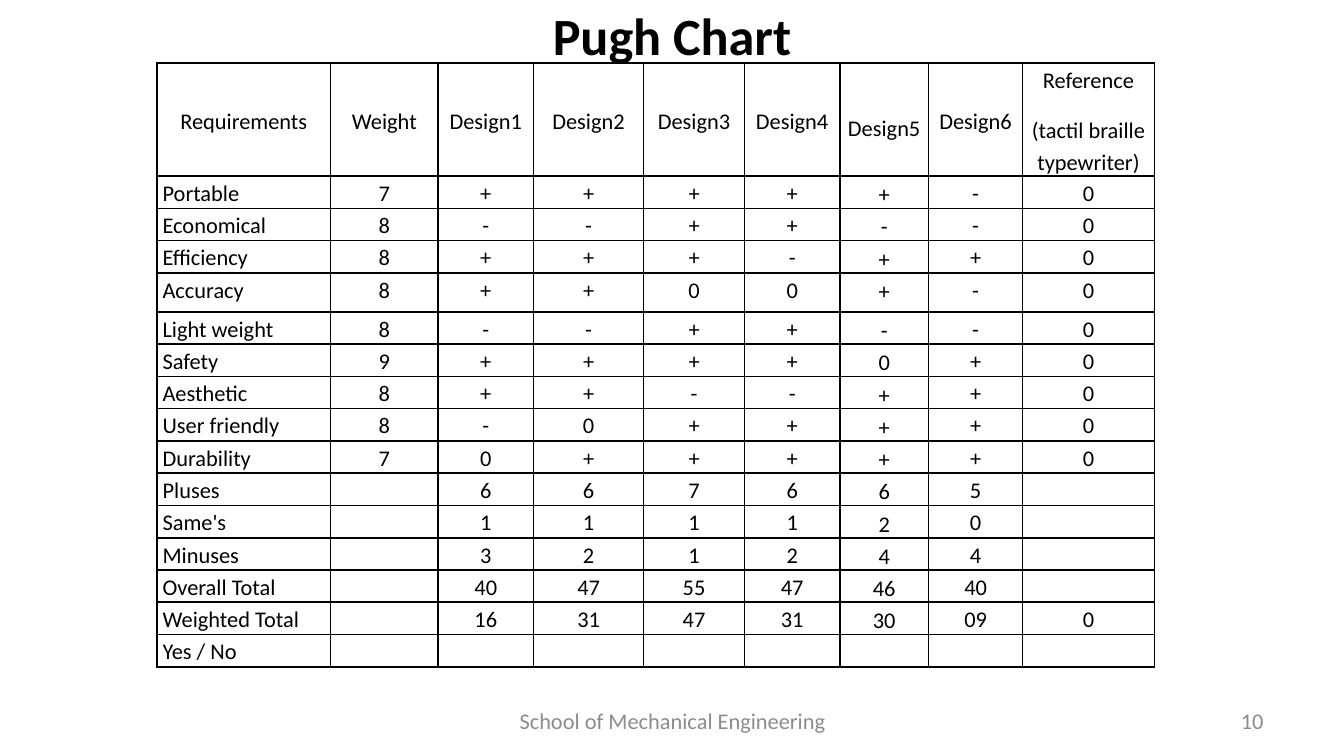
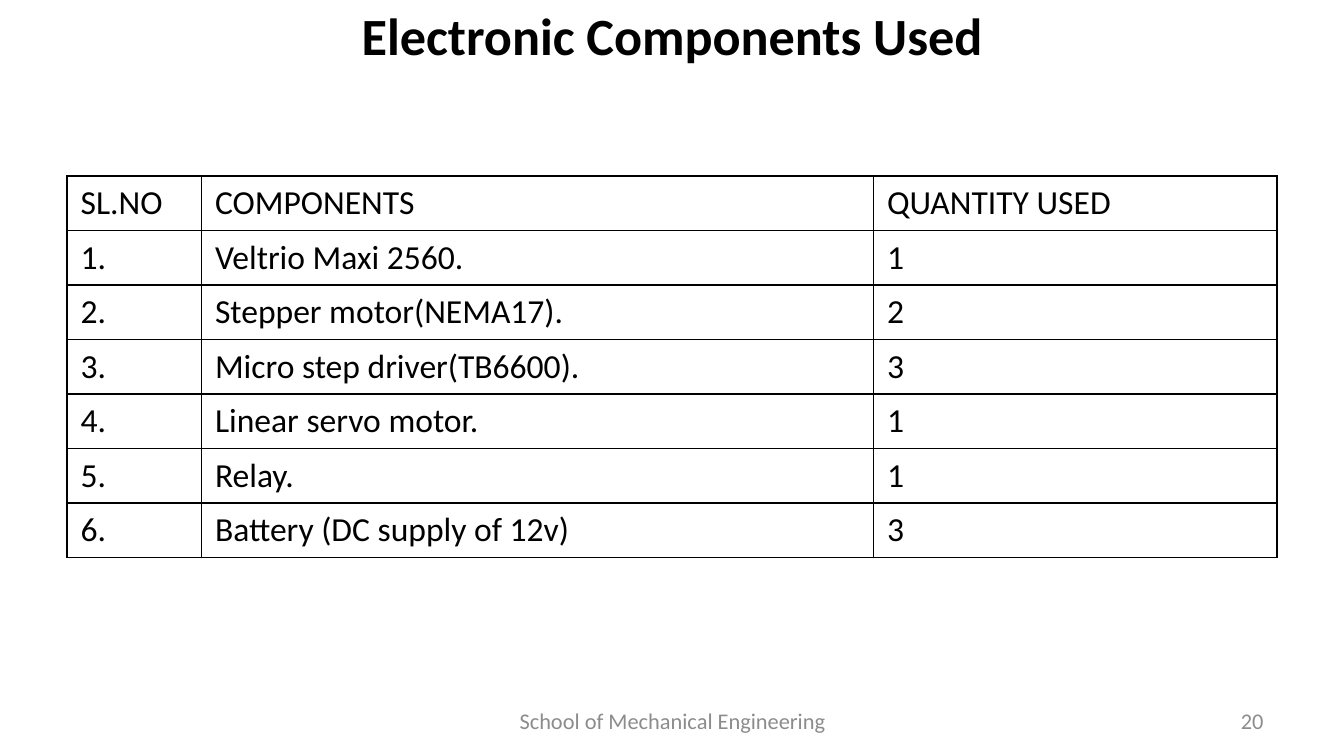
from dataclasses import dataclass
from lxml.etree import SubElement
from pptx import Presentation
from pptx.dml.color import RGBColor
from pptx.enum.text import MSO_ANCHOR, PP_ALIGN
from pptx.oxml.ns import qn
from pptx.util import Inches, Pt


@dataclass(frozen=True)
class Theme:
    font: str = "Calibri"
    ink: str = "000000"
    muted: str = "8C8C8C"
    title_size: int = 28
    body_size: int = 18
    small_size: int = 12
    border: int = 1


theme = Theme()

# Content
requirements = ["Portable", "Economical", "Efficiency", "Accuracy", "Light weight",
                "Safety", "Aesthetic", "User friendly", "Durability"]
weights = "788889887"
ratings = ["+++++-", "--++--", "+++-++", "++00+-", "--++--",
           "++++0+", "++--++", "-0++++", "0+++++"]
totals = {
    "Pluses": ["6", "6", "7", "6", "6", "5"],
    "Same's": ["1", "1", "1", "1", "2", "0"],
    "Minuses": ["3", "2", "1", "2", "4", "4"],
    "Overall Total": ["40", "47", "55", "47", "46", "40"],
    "Weighted Total": ["16", "31", "47", "31", "30", "09"],
    "Yes / No": [""] * 6,
}
pugh_rows = [["Requirements", "Weight", *(f"Design{n}" for n in range(1, 7)),
              "Reference\n(tactil braille typewriter)"]]
for requirement, weight, marks in zip(requirements, weights, ratings):
    pugh_rows.append([requirement, weight, *marks, "0"])
for total, scores in totals.items():
    reference_score = "0" if total == "Weighted Total" else ""
    pugh_rows.append([total, "", *scores, reference_score])

components = [("Veltrio Maxi 2560.", 1), ("Stepper motor(NEMA17).", 2),
              ("Micro step driver(TB6600).", 3), ("Linear servo motor.", 1),
              ("Relay.", 1), ("Battery (DC supply of 12v)", 3)]
component_rows = [["SL.NO", "COMPONENTS", "QUANTITY USED"]]
for number, (component, quantity) in enumerate(components, start=1):
    component_rows.append([f"{number}.", component, str(quantity)])


def write(frame, text, size, color=theme.ink, align=PP_ALIGN.LEFT, bold=False):
    """Fill a text frame, one paragraph per line of text."""
    for index, line in enumerate(text.split("\n")):
        paragraph = frame.paragraphs[0] if index == 0 else frame.add_paragraph()
        paragraph.alignment = align
        if not line:
            # An empty cell still needs its type size to keep the row low
            SubElement(paragraph._p, qn("a:endParaRPr"), sz=str(size * 100))
            continue
        run = paragraph.add_run()
        run.text = line
        run.font.name = theme.font
        run.font.size = Pt(size)
        run.font.bold = bold
        run.font.color.rgb = RGBColor.from_string(color)


def add_grid(slide, rows, left, top, widths, heights, size, centered=False):
    """Add a plain table with thin borders and no fill."""
    table = slide.shapes.add_table(
        len(rows), len(widths), Inches(left), Inches(top),
        Inches(sum(widths)), Inches(sum(heights))).table
    table.first_row = table.horz_banding = False
    for column, width in zip(table.columns, widths):
        column.width = Inches(width)
    for row, height in zip(table.rows, heights):
        row.height = Inches(height)
    for r, row in enumerate(rows):
        for c, text in enumerate(row):
            cell = table.cell(r, c)
            align = PP_ALIGN.CENTER if centered and (r == 0 or c > 0) else PP_ALIGN.LEFT
            write(cell.text_frame, text, size, align=align)
            properties = cell._tc.get_or_add_tcPr()
            for side in ("lnL", "lnR", "lnT", "lnB"):
                line = SubElement(properties, qn(f"a:{side}"), w=str(Pt(theme.border)))
                fill = SubElement(line, qn("a:solidFill"))
                SubElement(fill, qn("a:srgbClr"), val=theme.ink)
            cell.fill.background()
    return table


# A 16:9 page, 10 inches wide
presentation = Presentation()
presentation.slide_width = Inches(10)
presentation.slide_height = Inches(10) * 9 // 16

# Title, footer and page number of each slide
slides = []
for title, page in [("Pugh Chart", "10"), ("Electronic Components Used", "20")]:
    slide = presentation.slides.add_slide(presentation.slide_layouts[6])
    slides.append(slide)
    for text, place, size, color, align, bold in [
        (title, (0.5, -0.21, 9, 0.94), theme.title_size, theme.ink, PP_ALIGN.CENTER, True),
        ("School of Mechanical Engineering", (3.42, 5.21, 3.17, 0.3),
         theme.small_size, theme.muted, PP_ALIGN.CENTER, False),
        (page, (7.17, 5.21, 2.33, 0.3), theme.small_size, theme.muted, PP_ALIGN.RIGHT, False),
    ]:
        frame = slide.shapes.add_textbox(*map(Inches, place)).text_frame
        frame.word_wrap = True
        frame.vertical_anchor = MSO_ANCHOR.MIDDLE
        write(frame, text, size, color, align, bold)
pugh_slide, components_slide = slides

# Pugh chart: tight cells, header centred vertically
pugh_heights = [0.84] + [0.24] * 15
pugh_heights[requirements.index("Accuracy") + 1] = 0.29
pugh_table = add_grid(
    pugh_slide, pugh_rows, 1.17, 0.47,
    [1.29, 0.8, 0.71, 0.82, 0.75, 0.71, 0.66, 0.7, 0.98],
    pugh_heights, theme.small_size, centered=True)
design5 = pugh_rows[0].index("Design5")
for r in range(len(pugh_rows)):
    for c in range(len(pugh_rows[0])):
        cell = pugh_table.cell(r, c)
        side, top = (0.01, 0.01) if c == design5 else (0.04, 0)
        cell.margin_left = cell.margin_right = Inches(side)
        cell.margin_top, cell.margin_bottom = Inches(top), 0
        if r == 0:
            cell.vertical_anchor = MSO_ANCHOR.MIDDLE
        for paragraph in cell.text_frame.paragraphs:
            paragraph.line_spacing = 1.15
            paragraph.space_after = Pt(10)
# The Design5 heading sits slightly lower than its neighbours
pugh_table.cell(0, design5).margin_top = Inches(0.11)

# Component list: equal rows share the table height
row_count = len(component_rows)
add_grid(components_slide, component_rows, 0.5, 1.31, [1, 5, 3],
         [2.84 / row_count] * row_count, theme.body_size)

presentation.save("out.pptx")
